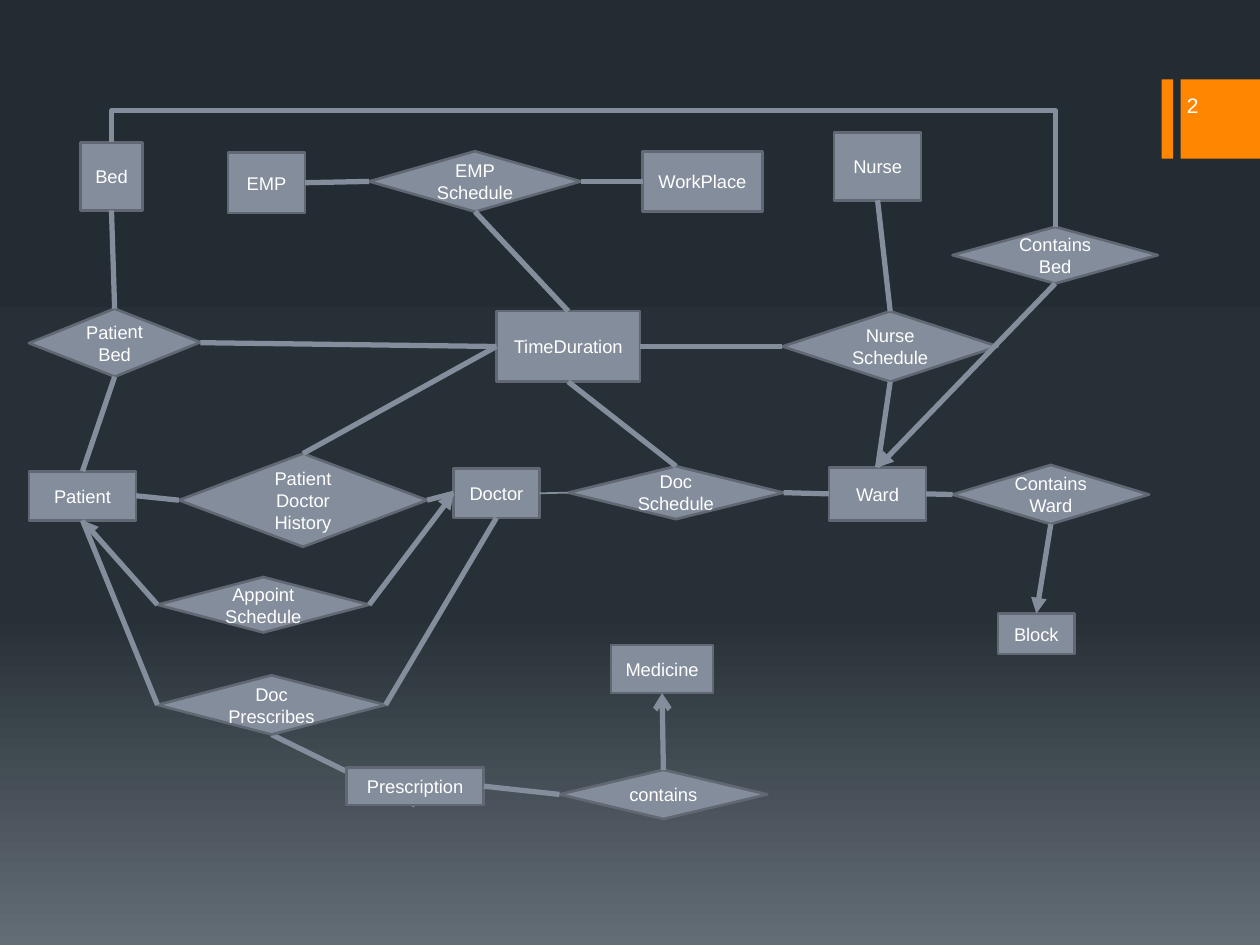
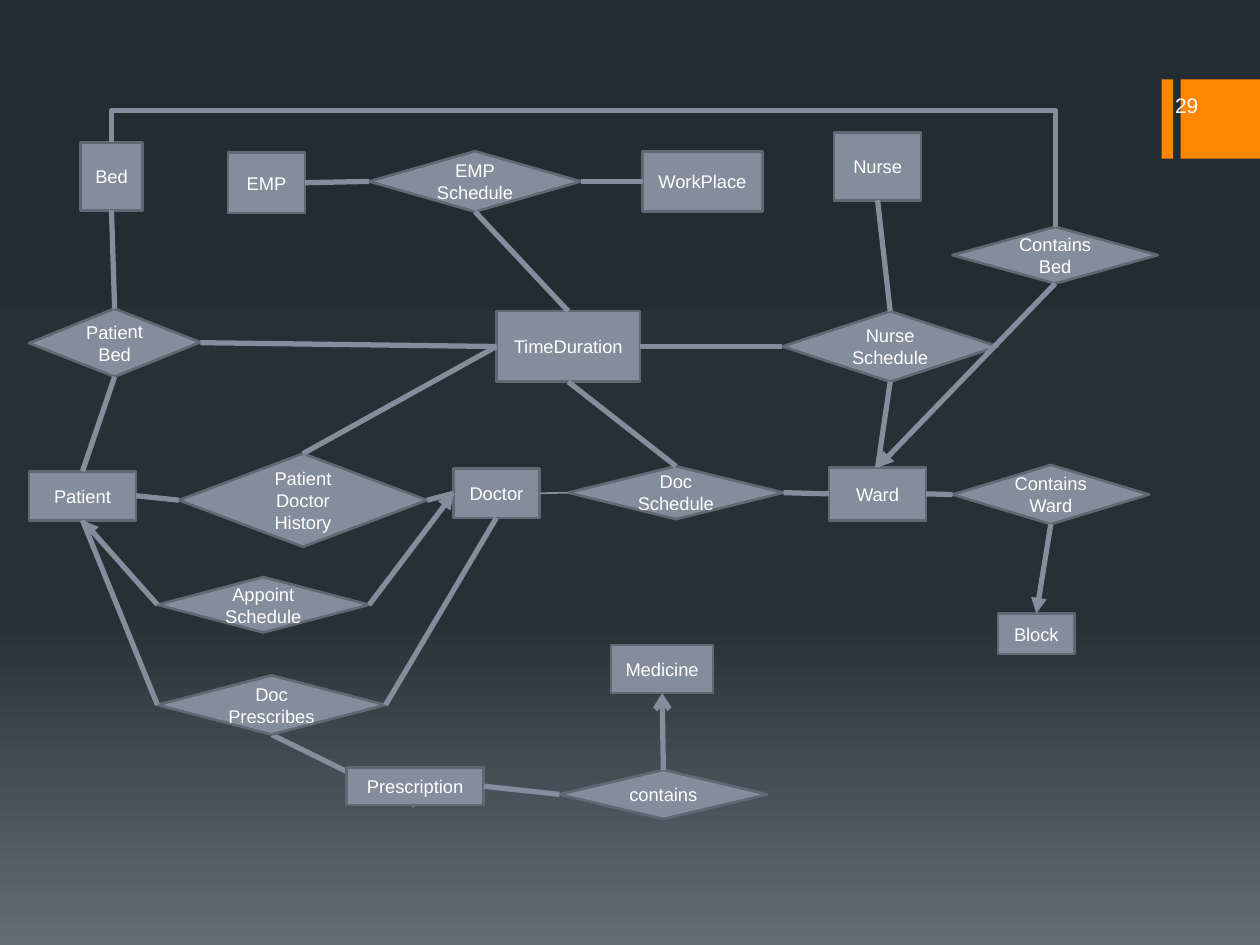
import copy
from dataclasses import dataclass

import pptx
import pptx.dml.color
import pptx.enum.shapes
import pptx.enum.text
import pptx.oxml.ns
import pptx.util
from lxml import etree

Inches, Pt = pptx.util.Inches, pptx.util.Pt
RGB = pptx.dml.color.RGBColor.from_string
SHAPE = pptx.enum.shapes.MSO_SHAPE
CONNECTOR = pptx.enum.shapes.MSO_CONNECTOR
ANCHOR, ALIGN = pptx.enum.text.MSO_ANCHOR, pptx.enum.text.PP_ALIGN
qn = pptx.oxml.ns.qn


@dataclass(frozen=True)
class Theme:
    background: tuple = ((0, "242C33"), (0.65, "273037"), (1, "636D76"))
    accent: str = "FF8600"
    node: str = "838D9B"
    outline: str = "616873"
    text: str = "FFFFFF"
    font: str = "Arial"
    node_size: float = 10.5
    number_size: float = 12
    outline_width: float = 1.5
    link_width: float = 3


@dataclass(frozen=True)
class Node:
    key: str
    text: str  # \n starts a paragraph, \v breaks a line
    left: float
    top: float
    width: float
    height: float
    kind: int = SHAPE.RECTANGLE
    rotation: float = 0


@dataclass(frozen=True)
class Link:
    start: str  # node key and side, such as "ward.left"
    end: str
    head: str = ""
    tail: str = ""
    width: float = Theme.link_width
    behind: bool = False


THEME = Theme()
SIDES = ("top", "left", "bottom", "right")  # order of connection sites

ENTITIES = [
    Node("patient", "Patient", 0.23, 3.74, 0.85, 0.39),
    Node("doctor", "Doctor", 3.6, 3.72, 0.68, 0.39),
    Node("ward", "Ward", 6.58, 3.71, 0.77, 0.42),
    Node("nurse", "Nurse", 6.62, 1.05, 0.69, 0.54),
    Node("time", "TimeDuration", 3.94, 2.47, 1.14, 0.56),
    Node("bed", "Bed", 0.64, 1.13, 0.49, 0.54),
    Node("prescription", "Prescription", 2.75, 6.09, 1.09, 0.3),
    Node("medicine", "Medicine", 4.85, 5.12, 0.81, 0.38),
    Node("emp", "EMP", 1.81, 1.21, 0.61, 0.48),
    Node("workplace", "WorkPlace", 5.1, 1.2, 0.95, 0.48),
    Node("block", "Block", 7.92, 4.87, 0.61, 0.32),
]
RELATIONS = [Node(*row[:6], SHAPE.DIAMOND, *row[6:]) for row in (
    ("history", "Patient\nDoctor\nHistory", 1.42, 3.6, 1.97, 0.74),
    ("appoint", "Appoint\nSchedule", 1.25, 4.58, 1.68, 0.44),
    ("doc_schedule", "Doc\nSchedule", 4.51, 3.7, 1.71, 0.42),
    ("nurse_schedule", "Nurse\nSchedule", 6.21, 2.47, 1.71, 0.56),
    ("patient_bed", "Patient\vBed", 0.23, 2.45, 1.36, 0.54, 359.7),
    ("prescribes", "Doc\nPrescribes", 1.25, 5.36, 1.81, 0.47),
    ("contains", "contains", 4.44, 6.11, 1.65, 0.39),
    ("emp_schedule", "EMP\nSchedule", 2.93, 1.2, 1.68, 0.48),
    ("contains_ward", "Contains\nWard", 7.56, 3.69, 1.56, 0.47),
    ("contains_bed", "Contains\nBed", 7.56, 1.8, 1.63, 0.45),
)]
NODES = {node.key: node for node in ENTITIES + RELATIONS}

LINKS = [
    Link("prescription.bottom", "prescribes.bottom", behind=True),
    Link("history.left", "patient.right"),
    Link("history.right", "doctor.left"),
    Link("history.top", "time.left"),
    Link("appoint.right", "doctor.left", tail="triangle"),
    Link("patient.bottom", "appoint.left", head="triangle"),
    Link("doc_schedule.right", "ward.left"),
    Link("doc_schedule.top", "time.bottom"),
    Link("doctor.right", "doc_schedule.left", width=1),
    Link("nurse_schedule.top", "nurse.bottom"),
    Link("nurse_schedule.bottom", "ward.top"),
    Link("nurse_schedule.left", "time.right"),
    Link("patient_bed.right", "time.left"),
    Link("patient_bed.top", "bed.bottom"),
    Link("patient.top", "patient_bed.bottom"),
    Link("prescription.right", "contains.left"),
    Link("contains.top", "medicine.bottom", tail="arrow"),
    Link("patient.bottom", "prescribes.left"),
    Link("prescribes.right", "doctor.bottom"),
    Link("emp_schedule.left", "emp.right"),
    Link("emp_schedule.right", "workplace.left"),
    Link("emp_schedule.bottom", "time.top"),
    Link("contains_ward.bottom", "block.top", tail="triangle"),
    Link("contains_ward.left", "ward.right"),
    Link("contains_bed.bottom", "ward.top", tail="triangle"),
]


def paint_background(prs) -> None:
    """Give the master a vertical gradient with every stop of the theme."""
    fill = prs.slide_master.background.fill
    fill.gradient()
    fill.gradient_angle = 270
    stop_list = prs.slide_master.element.find(".//" + qn("a:gsLst"))
    while len(stop_list) < len(THEME.background):
        stop_list.append(copy.deepcopy(stop_list[-1]))
    for stop, (position, color) in zip(fill.gradient_stops, THEME.background):
        stop.position = position
        stop.color.rgb = RGB(color)


def style_text(tf, size: float, align) -> None:
    tf.vertical_anchor = ANCHOR.MIDDLE
    tf.word_wrap = True
    for p in tf.paragraphs:
        p.alignment = align
        p.font.name = THEME.font
        p.font.size = Pt(size)
        p.font.color.rgb = RGB(THEME.text)


def add_band(s, left: float, width: float) -> None:
    sp = s.shapes.add_shape(SHAPE.RECTANGLE, Inches(left), Inches(0.63),
                            Inches(width), Inches(0.63))
    sp.shadow.inherit = False
    sp.fill.solid()
    sp.fill.fore_color.rgb = RGB(THEME.accent)
    sp.line.fill.background()


def add_number(s, number: int) -> None:
    box = s.shapes.add_textbox(Inches(8.58), Inches(0.67), Inches(1.03), Inches(0.33))
    box.text_frame.text = str(number)
    style_text(box.text_frame, THEME.number_size, ALIGN.RIGHT)


def add_node(s, node: Node):
    sp = s.shapes.add_shape(node.kind, Inches(node.left), Inches(node.top),
                            Inches(node.width), Inches(node.height))
    sp.rotation = node.rotation
    sp.shadow.inherit = False
    sp.fill.solid()
    sp.fill.fore_color.rgb = RGB(THEME.node)
    sp.line.color.rgb = RGB(THEME.outline)
    sp.line.width = Pt(THEME.outline_width)
    tf = sp.text_frame
    tf.text = node.text
    tf.margin_left = tf.margin_right = Inches(0.05)
    style_text(tf, THEME.node_size, ALIGN.CENTER)
    return sp


def style_line(line, width: float) -> None:
    line.line.color.rgb = RGB(THEME.node)
    line.line.width = Pt(width)
    etree.SubElement(line.element.spPr, qn("a:effectLst"))


def add_link(s, link: Link, shapes: dict):
    line = s.shapes.add_connector(CONNECTOR.STRAIGHT, 0, 0, 0, 0)
    for connect, place in ((line.begin_connect, link.start), (line.end_connect, link.end)):
        key, side = place.split(".")
        connect(shapes[key], SIDES.index(side))
    style_line(line, link.width)
    ln = line.element.spPr.find(qn("a:ln"))
    for tag, kind in (("a:headEnd", link.head), ("a:tailEnd", link.tail)):
        if kind:
            etree.SubElement(ln, qn(tag), type=kind)
    return line


def add_overhead_link(s, start: Node, end: Node, rise: float) -> None:
    """Join two node tops by an elbow that runs above both of them."""
    x1, x2 = (n.left + n.width / 2 for n in (start, end))
    span, drop = x2 - x1, end.top - start.top
    # The elbow is laid out upright and mirrored, then turned about its centre.
    left = (x1 + x2 - drop) / 2
    top = (start.top + end.top - span) / 2
    line = s.shapes.add_connector(CONNECTOR.ELBOW, Inches(left + drop), Inches(top),
                                  Inches(left), Inches(top + span))
    line.element.spPr.find(qn("a:xfrm")).set("rot", str(270 * 60000))
    guides = line.element.spPr.find(".//" + qn("a:avLst"))
    etree.SubElement(guides, qn("a:gd"), name="adj1",
                     fmla=f"val {round(-rise / drop * 100000)}")
    style_line(line, THEME.link_width)


def add_diagram_slide(prs, number: int) -> None:
    s = prs.slides.add_slide(prs.slide_layouts[6])
    # Corner bands
    add_band(s, 9.22, 0.09)
    add_band(s, 9.37, 0.63)
    # Entities and relations
    shapes = {key: add_node(s, node) for key, node in NODES.items()}
    # Links; one that runs under its entity goes before all nodes
    for link in LINKS:
        line = add_link(s, link, shapes)
        if link.behind:
            shapes["patient"].element.addprevious(line.element)
    add_overhead_link(s, NODES["bed"], NODES["contains_bed"], 0.25)
    add_number(s, number)


prs = pptx.Presentation()
prs.slide_width, prs.slide_height = Inches(10), Inches(7.5)
paint_background(prs)
for slide_number in (2, 29):
    add_diagram_slide(prs, slide_number)
prs.save("out.pptx")
